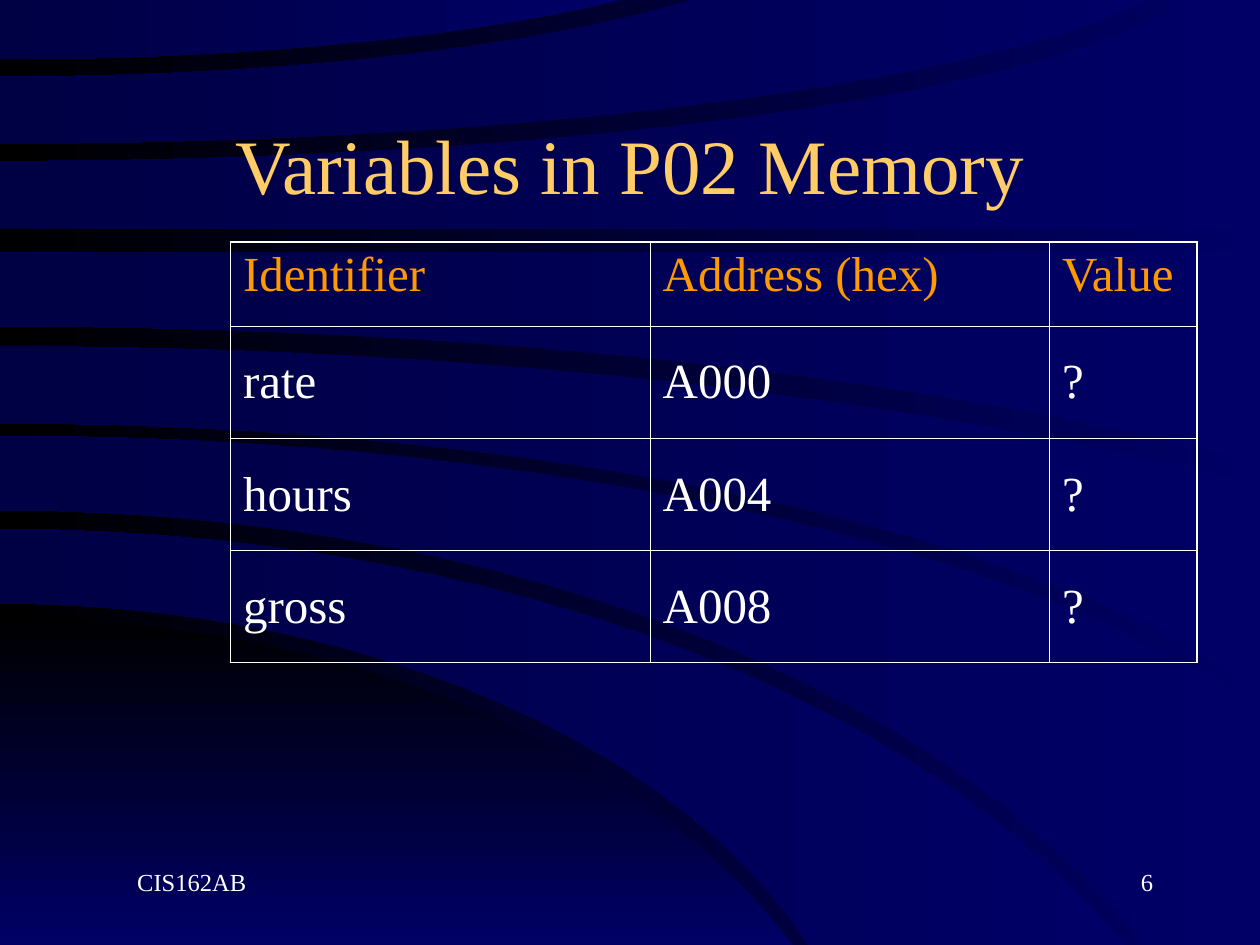
"""Build a slide that lists the variables of P02 with their memory addresses."""
from dataclasses import dataclass
from math import sqrt
from typing import NamedTuple, Optional

from lxml.etree import SubElement as Sub
from pptx import Presentation
from pptx.dml.color import RGBColor as Rgb
from pptx.dml.fill import FillFormat as Fill
from pptx.enum.text import MSO_ANCHOR as Anchor, PP_ALIGN as Align
from pptx.oxml.ns import qn
from pptx.slide import Slide
from pptx.table import _Cell as Cell
from pptx.text.text import TextFrame as Frame
from pptx.util import Inches, Pt

Point = tuple[float, float]


@dataclass(frozen=True)
class Theme:
    font: str = "Times New Roman"
    gold: str = "FFCC66"
    orange: str = "FF9900"
    white: str = "FFFFFF"
    black: str = "000000"
    navy: str = "000066"
    dusk: str = "000044"
    title: float = 44
    body: float = 28
    small: float = 14
    gap: float = 7
    thin: float = 0.45
    thick: float = 1.08


THEME = Theme()
WIDE, HIGH, TOP, STEPS = 10, 7.5, -0.02, 24


class Edge(NamedTuple):
    start: float
    end: Point
    mid: Optional[Point] = None


class Band(NamedTuple):
    upper: Edge
    lower: Edge
    colors: tuple[str, str] = (THEME.navy, THEME.dusk)
    angle: float = 180


class Label(NamedTuple):
    text: str
    box: tuple[float, float, float, float]
    size: float
    color: str
    align: Align = Align.LEFT
    anchor: Anchor = Anchor.TOP
    indent: float = 0


BANDS = [
    Band(Edge(4.91, (6.29, HIGH), (3.87, 5.68)), Edge(HIGH, (6.29, HIGH)),
         (THEME.black, THEME.navy), 270),
    Band(Edge(4.2, (8.93, HIGH), (5.15, 5.05)), Edge(4.79, (6.42, HIGH), (3.76, 5.49))),
    Band(Edge(3.46, (WIDE, 5.62), (5.7, 4.01)), Edge(4.05, (9.09, HIGH), (5.21, 4.92))),
    Band(Edge(2.75, (WIDE, 3.85), (5.66, 3.07)), Edge(3.36, (WIDE, 5.48), (5.6, 3.87))),
    Band(Edge(2, (WIDE, 2)), Edge(2.59, (WIDE, 3.68), (5.52, 2.88))),
    Band(Edge(1.28, (9.43, TOP), (5.54, 0.98)), Edge(1.82, (WIDE, 1.82))),
    Band(Edge(0.61, (5.56, TOP), (3.08, 0.45)), Edge(1.14, (9.17, TOP), (5.45, 0.84))),
    Band(Edge(TOP, (5.01, TOP)), Edge(0.47, (5.01, TOP), (2.89, 0.33))),
]
LABELS = [
    Label("Variables in P02 Memory", (0.75, 0.67, 8.5, 1.25), THEME.title, THEME.gold,
          Align.CENTER, Anchor.MIDDLE),
    Label("6", (7.17, 6.83, 2.08, 0.5), THEME.small, THEME.white, Align.RIGHT, indent=0.24),
    Label("CIS162AB", (0.75, 6.83, 2.08, 0.5), THEME.small, THEME.white, indent=0.24),
]
ROWS = [("Identifier", "Address (hex)", "Value"),
        ("rate", "A000", "?"), ("hours", "A004", "?"), ("gross", "A008", "?")]
WIDTHS = [3.33, 3.17, 1.17]
HEIGHTS = [0.67] + [0.89] * 3


def shade(fill: Fill, colors: tuple[str, str], angle: float) -> None:
    """Fill with a two-colour gradient."""
    fill.gradient()
    fill.gradient_angle = angle
    for stop, color in zip(fill.gradient_stops, colors):
        stop.color.rgb = Rgb.from_string(color)


def trace(edge: Edge) -> list[Point]:
    """Follow an ellipse, level at the left, through the mid and end points."""
    if edge.mid is None:
        return [(0, edge.start), edge.end]
    (mx, my), (ex, ey) = edge.mid, edge.end
    near, far = my - edge.start, ey - edge.start
    bend = 2 * (mx**2 * far - ex**2 * near) / (mx**2 * far**2 - ex**2 * near**2)
    scale = ex**2 / (2 * far - bend * far**2)
    drops = [far * (i / STEPS) ** 2 for i in range(STEPS + 1)]
    return [(sqrt(max(0, scale * (2 * d - bend * d**2))), edge.start + d) for d in drops]


def draw_band(slide: Slide, band: Band) -> None:
    """Draw the area between two edges, out to the corner they share."""
    ends = band.upper.end, band.lower.end
    corner = max(ends)[0], min(ends)[1]
    points = [*trace(band.upper), corner, *reversed(trace(band.lower))]
    first, *rest = [(Inches(x), Inches(y)) for x, y in points]
    pen = slide.shapes.build_freeform(*first)
    pen.add_line_segments(rest, close=True)
    shape = pen.convert_to_shape()
    shape.shadow.inherit = False
    shape.line.fill.background()
    shade(shape.fill, band.colors, band.angle)


def write(frame: Frame, text: str, size: float, color: str) -> None:
    """Add one styled run to the first paragraph."""
    run = frame.paragraphs[0].add_run()
    run.text = text
    run.font.name, run.font.size = THEME.font, Pt(size)
    run.font.color.rgb = Rgb.from_string(color)


def draw_label(slide: Slide, label: Label) -> None:
    """Draw a text box."""
    frame = slide.shapes.add_textbox(*map(Inches, label.box)).text_frame
    frame.word_wrap, frame.vertical_anchor = True, label.anchor
    line = frame.paragraphs[0]
    line.alignment = label.align
    if label.indent:
        line._p.get_or_add_pPr().set("marL", str(Inches(label.indent)))
    write(frame, label.text, label.size, label.color)


def rule_cell(cell: Cell, sides: dict[str, bool]) -> None:
    """Rule the sides of a clear cell, the outer ones thicker."""
    props = cell._tc.get_or_add_tcPr()
    for side, outer in sides.items():
        width = Pt(THEME.thick if outer else THEME.thin)
        line = Sub(props, qn(f"a:ln{side}"), w=str(width))
        Sub(Sub(line, qn("a:solidFill")), qn("a:srgbClr"), val=THEME.white)
    cell.fill.background()


def draw_table(slide: Slide) -> None:
    """Draw the table of variables."""
    box = (1.83, 1.92, sum(WIDTHS), sum(HEIGHTS))
    table = slide.shapes.add_table(len(ROWS), len(WIDTHS), *map(Inches, box)).table
    table.first_row = table.horz_banding = False
    for column, width in zip(table.columns, WIDTHS):
        column.width = Inches(width)
    for r, (row, height) in enumerate(zip(ROWS, HEIGHTS)):
        table.rows[r].height = Inches(height)
        for c, text in enumerate(row):
            cell = table.cell(r, c)
            rule_cell(cell, {"L": c == 0, "R": c == len(WIDTHS) - 1,
                             "T": r == 0, "B": r == len(ROWS) - 1})
            cell.vertical_anchor = Anchor.MIDDLE if r else Anchor.TOP
            cell.text_frame.paragraphs[0].space_before = Pt(THEME.gap)
            write(cell.text_frame, text, THEME.body, THEME.white if r else THEME.orange)


def main() -> None:
    """Build and save the slide."""
    deck = Presentation()
    deck.slide_width, deck.slide_height = Inches(WIDE), Inches(HIGH)
    slide = deck.slides.add_slide(deck.slide_layouts[6])
    shade(slide.background.fill, (THEME.navy, THEME.black), 180)
    for band in BANDS:
        draw_band(slide, band)
    for label in LABELS:
        draw_label(slide, label)
    draw_table(slide)
    deck.save("out.pptx")


if __name__ == "__main__":
    main()
